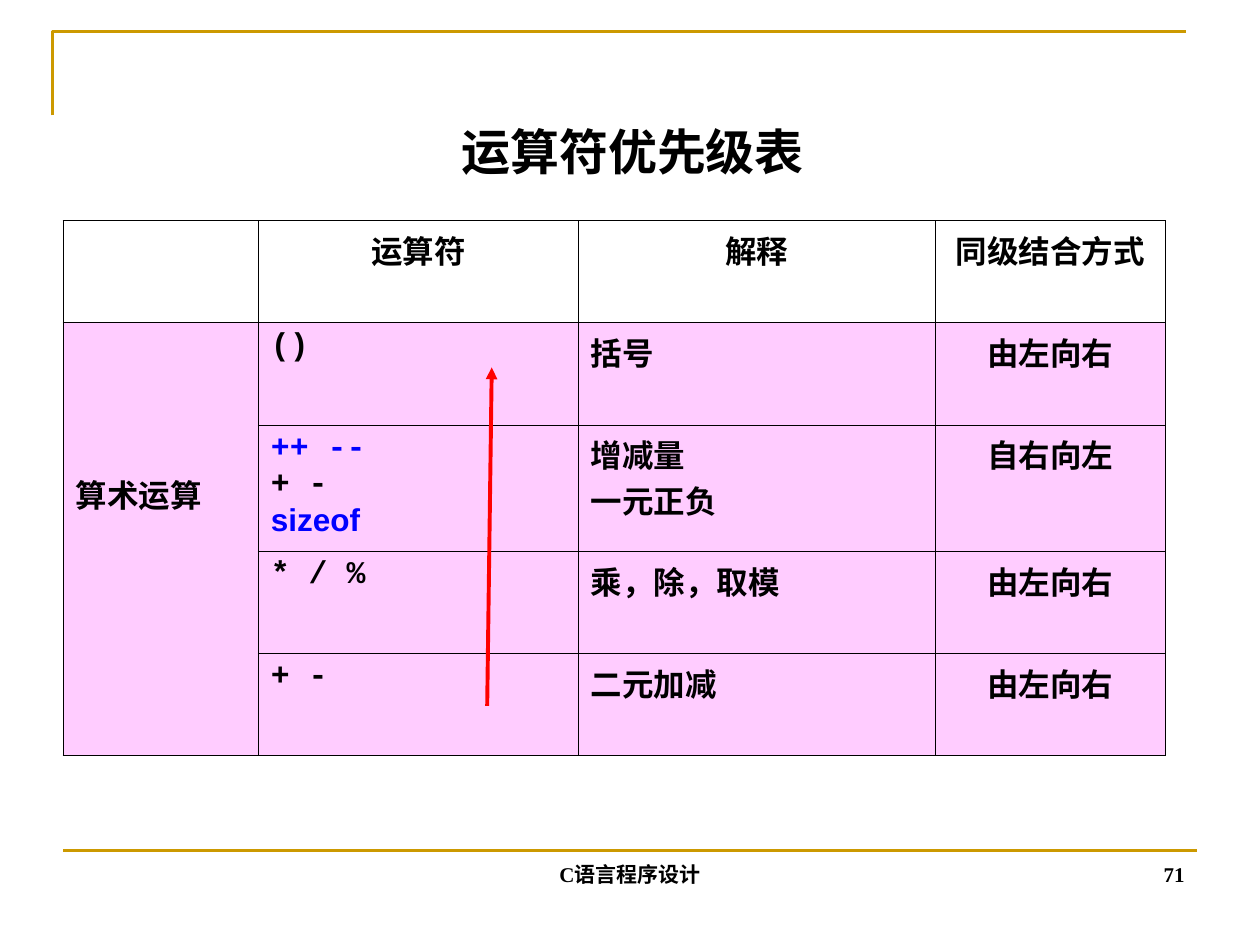
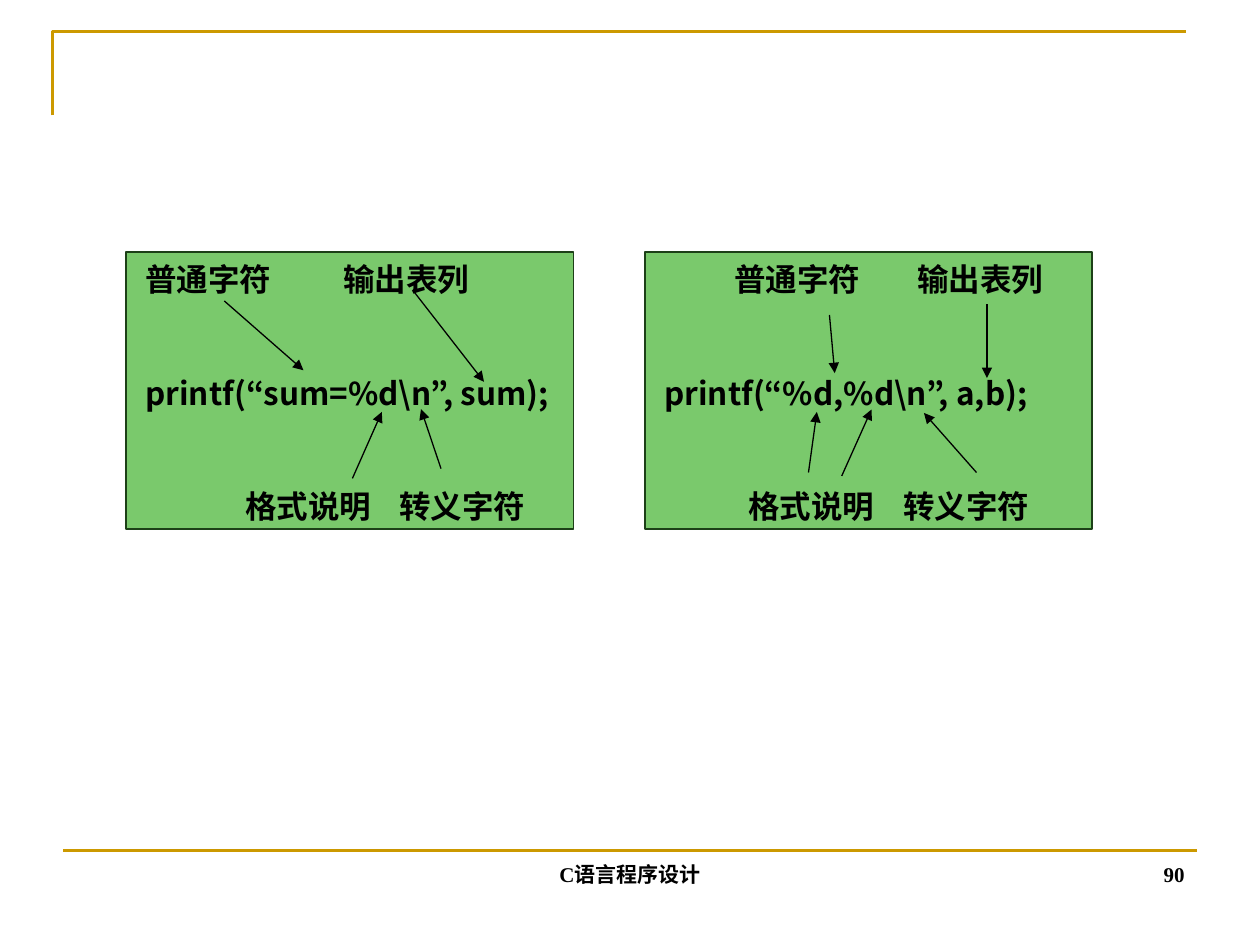
from typing import NamedTuple
from lxml import etree
from pptx import Presentation
from pptx.dml.color import RGBColor
from pptx.enum import shapes, text
from pptx.oxml import ns
from pptx.util import Pt

GOLD = RGBColor(0xCC, 0x99, 0x00)
BLACK = RGBColor(0, 0, 0)
BLUE = RGBColor(0, 0, 0xFF)
RED = RGBColor(0xFF, 0, 0)
PINK = RGBColor(0xFF, 0xCC, 0xFF)
GREEN = RGBColor(0x7A, 0xC9, 0x6C)
DARK = RGBColor(0x1D, 0x40, 0x18)
SERIF, SANS, MONO, HAN = "Times New Roman", "Arial", "Courier New", "Noto Sans CJK JP"
LEFT, MID, RIGHT = text.PP_ALIGN.LEFT, text.PP_ALIGN.CENTER, text.PP_ALIGN.RIGHT


class Run(NamedTuple):
    words: str
    face: str = SERIF
    color: RGBColor = BLACK


class Area(NamedTuple):
    x: float
    y: float
    w: float
    h: float


class Arrow(NamedTuple):
    x1: float
    y1: float
    x2: float
    y2: float


class Row(NamedTuple):
    signs: list[Run]
    notes: list[str]
    order: str


class Line(NamedTuple):
    words: str
    stops: tuple[float, ...]


class Panel(NamedTuple):
    x: float
    lines: list[Line]
    arrows: list[Arrow]


ROWS = [
    Row([Run("()", MONO)], ["括号"], "由左向右"),
    Row([Run("++ --", MONO, BLUE), Run("+ -", MONO), Run("sizeof", SANS, BLUE)],
        ["增减量", "一元正负"], "自右向左"),
    Row([Run("* / %", MONO)], ["乘，除，取模"], "由左向右"),
    Row([Run("+ -", MONO)], ["二元加减"], "由左向右"),
]
HEADS = ["运算符", "解释", "同级结合方式"]
WIDTHS = [111.6, 182.9, 203.8, 131.8]
HEIGHTS = [58.4, 58.4, 72.2, 58.4, 58.4]

PANELS = [
    Panel(72,
          [Line("\t普通字符\t输出表列", (4, 117)),
           Line("\tprintf(“sum=%d\\n”, sum);", (4,)),
           Line("\t格式说明\t转义字符", (61, 149))],
          [Arrow(128.2, 172, 173.4, 211.6), Arrow(236.8, 167, 276.6, 218.2),
           Arrow(201.4, 273.4, 218.2, 235.4), Arrow(252, 267.8, 240.6, 233.8)]),
    Panel(368.5,
          [Line("\t普通字符\t输出表列", (44, 148.5)),
           Line("\tprintf(“%d,%d\\n”, a,b);", (4,)),
           Line("\t格式说明\t转义字符", (52, 140.5))],
          [Arrow(474, 180, 477, 213.2), Arrow(564, 174, 564, 216),
           Arrow(462, 270, 466.8, 235.4), Arrow(558, 270, 528, 236),
           Arrow(481, 272, 498, 234)]),
]


def tag(node, name: str, **marks: str):
    return etree.SubElement(node, ns.qn(name), **marks)


def write(para, run: Run, size: float, align=LEFT) -> None:
    para.alignment = align
    part = para.add_run()
    part.text = run.words
    font = part.font
    font.size, font.bold, font.name = Pt(size), True, run.face
    font.color.rgb = run.color
    tag(part._r.get_or_add_rPr(), "a:ea", typeface=HAN)


def stack(frame, runs: list[Run], size: float, align=LEFT) -> None:
    for i, run in enumerate(runs):
        para = frame.add_paragraph() if i else frame.paragraphs[0]
        write(para, run, size, align)


def draw(home, arrow: Arrow, color: RGBColor, width: float, head: bool = True) -> None:
    con = home.add_connector(shapes.MSO_CONNECTOR.STRAIGHT, *map(Pt, arrow))
    con.line.color.rgb = color
    con.line.width = Pt(width)
    props = con._element.spPr
    if head:
        tag(props.find(ns.qn("a:ln")), "a:tailEnd", type="triangle")
    tag(props, "a:effectLst")


def label(slide, area: Area, words: str, align) -> None:
    frame = slide.shapes.add_textbox(*map(Pt, area)).text_frame
    frame.word_wrap = True
    frame.vertical_anchor = text.MSO_ANCHOR.BOTTOM
    write(frame.paragraphs[0], Run(words), 12, align)


def start(deck, layout: int, page: int):
    slide = deck.slides.add_slide(deck.slide_layouts[layout])
    path = slide.shapes.build_freeform(Pt(30), Pt(66))
    path.add_line_segments([(Pt(30), Pt(18)), (Pt(678), Pt(18))], close=False)
    edge = path.convert_to_shape()
    edge.shadow.inherit = False
    edge.fill.background()
    edge.line.color.rgb = GOLD
    edge.line.width = Pt(1.5)
    draw(slide.shapes, Arrow(36, 486, 684, 486), GOLD, 1.5, False)
    label(slide, Area(246, 474.5, 228, 36), "C语言程序设计", MID)
    label(slide, Area(516, 474, 168, 36), str(page), RIGHT)
    return slide


def border(cell) -> None:
    props = cell._tc.get_or_add_tcPr()
    for side in ("L", "R", "T", "B"):
        line = tag(props, f"a:ln{side}", w=str(Pt(0.45)))
        tag(tag(line, "a:solidFill"), "a:srgbClr", val=str(BLACK))


def grid(slide) -> None:
    area = Area(36, 126, sum(WIDTHS), sum(HEIGHTS))
    table = slide.shapes.add_table(len(HEIGHTS), len(WIDTHS), *map(Pt, area)).table
    for col, width in zip(table.columns, WIDTHS):
        col.width = Pt(width)
    for i, (row, height) in enumerate(zip(table.rows, HEIGHTS)):
        row.height = Pt(height)
        for cell in row.cells:
            border(cell)
            if i:
                cell.fill.solid()
                cell.fill.fore_color.rgb = PINK
            else:
                cell.fill.background()
    for j, head in enumerate(HEADS, 1):
        stack(table.cell(0, j).text_frame, [Run(head)], 18, MID)
    for i, row in enumerate(ROWS, 1):
        stack(table.cell(i, 1).text_frame, row.signs, 18)
        stack(table.cell(i, 2).text_frame, [Run(note) for note in row.notes], 18)
        stack(table.cell(i, 3).text_frame, [Run(row.order)], 18, MID)
    group = table.cell(1, 0)
    group.merge(table.cell(len(ROWS), 0))
    group.margin_top = Pt(85)
    stack(group.text_frame, [Run("算术运算", SANS)], 18)


def panel(slide, item: Panel) -> None:
    home = slide.shapes.add_group_shape().shapes
    area = Area(item.x, 144, 255.6, 158.4)
    box = home.add_shape(shapes.MSO_SHAPE.RECTANGLE, *map(Pt, area))
    box.shadow.inherit = False
    box.fill.solid()
    box.fill.fore_color.rgb = GREEN
    box.line.color.rgb = DARK
    box.line.width = Pt(0.75)
    frame = box.text_frame
    frame.word_wrap = True
    frame.vertical_anchor = text.MSO_ANCHOR.TOP
    frame.margin_top = Pt(4.7)
    for i, line in enumerate(item.lines):
        para = frame.add_paragraph() if i else frame.paragraphs[0]
        para.line_spacing = Pt(21.6)
        if i:
            para.space_before = Pt(43.2)
        tabs = tag(para._p.get_or_add_pPr(), "a:tabLst")
        for stop in line.stops:
            tag(tabs, "a:tab", pos=str(Pt(stop)), algn="l")
        write(para, Run(line.words, HAN), 18)
    for arrow in item.arrows:
        draw(home, arrow, BLACK, 0.75)


def ranks(deck) -> None:
    slide = start(deck, 5, 71)
    title = slide.shapes.title
    title.left, title.top, title.width, title.height = map(Pt, Area(37.5, 66, 648, 40.5))
    frame = title.text_frame
    frame.margin_top = frame.margin_bottom = 0
    frame.vertical_anchor = text.MSO_ANCHOR.MIDDLE
    write(frame.paragraphs[0], Run("运算符优先级表"), 28, MID)
    grid(slide)
    draw(slide.shapes, Arrow(278.4, 403.4, 281, 210), RED, 2.25)


def prints(deck) -> None:
    slide = start(deck, 6, 90)
    for item in PANELS:
        panel(slide, item)


def main() -> None:
    deck = Presentation()
    deck.slide_width, deck.slide_height = Pt(720), Pt(540)
    ranks(deck)
    prints(deck)
    deck.save("out.pptx")


if __name__ == "__main__":
    main()
